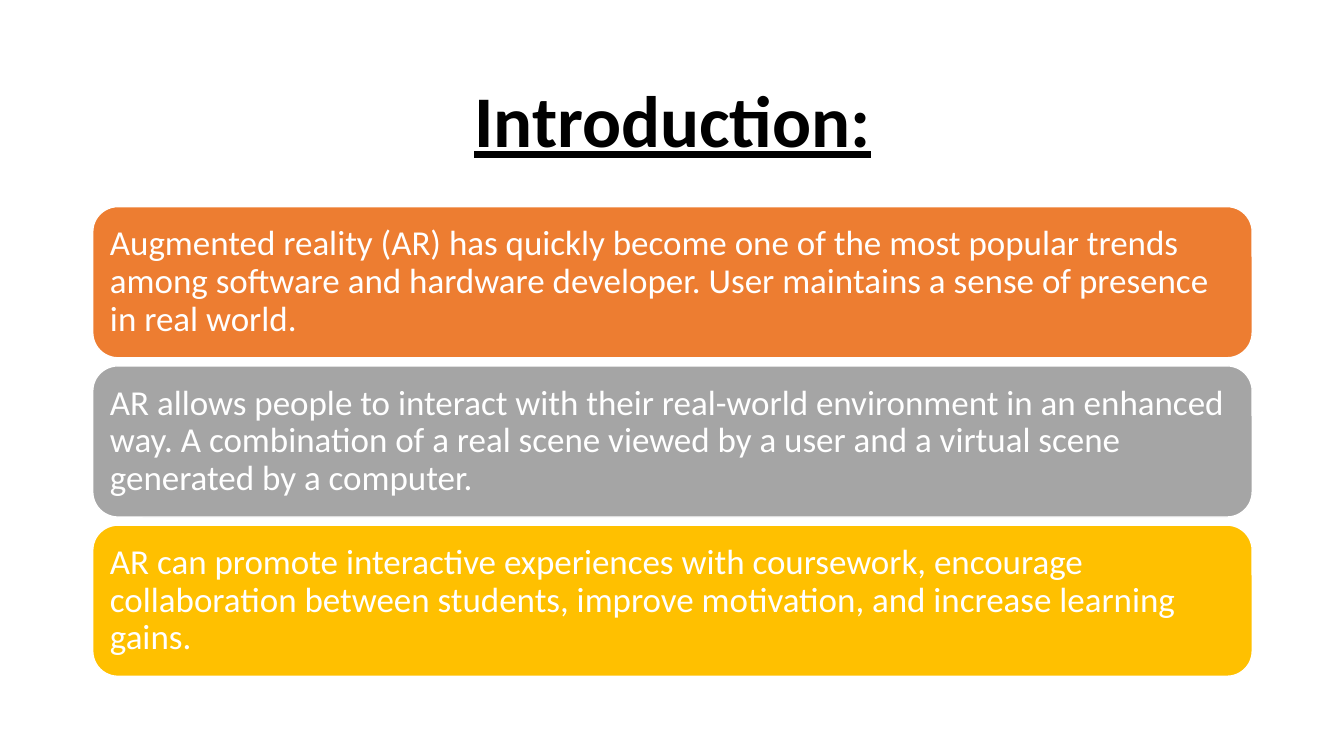
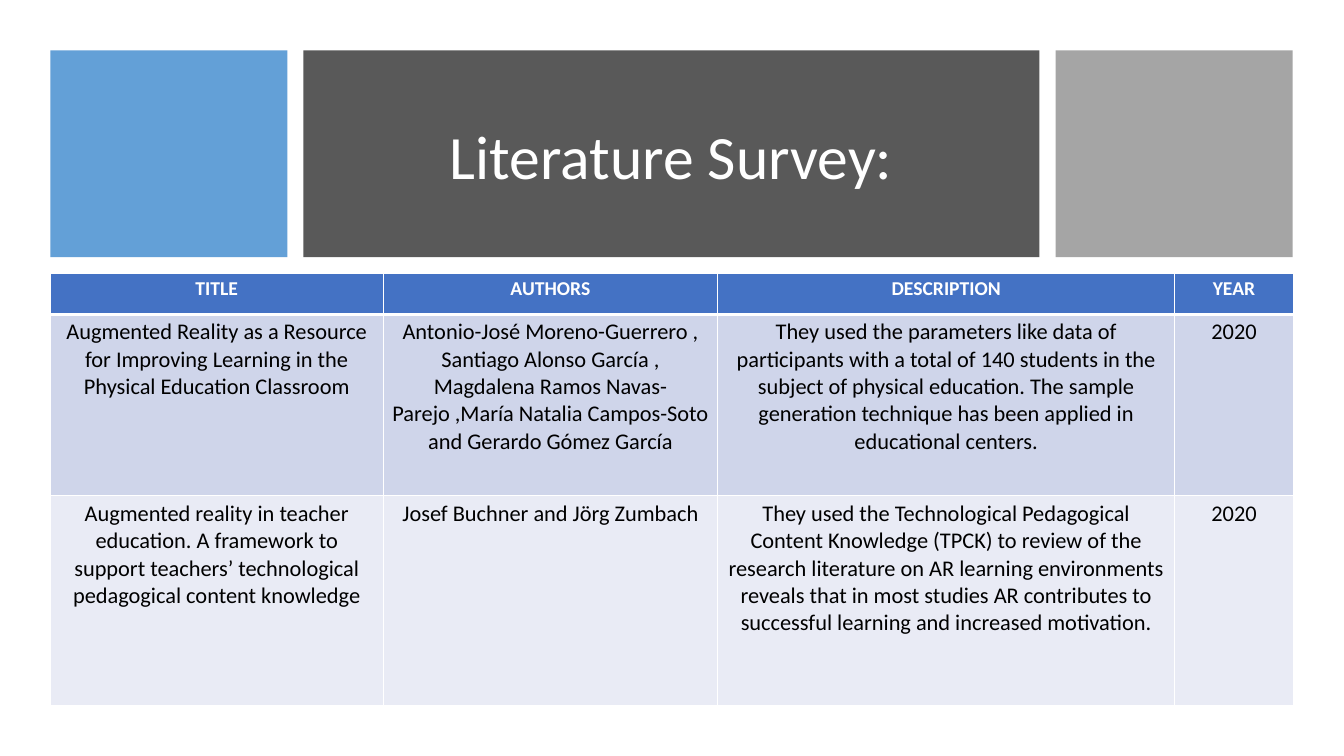
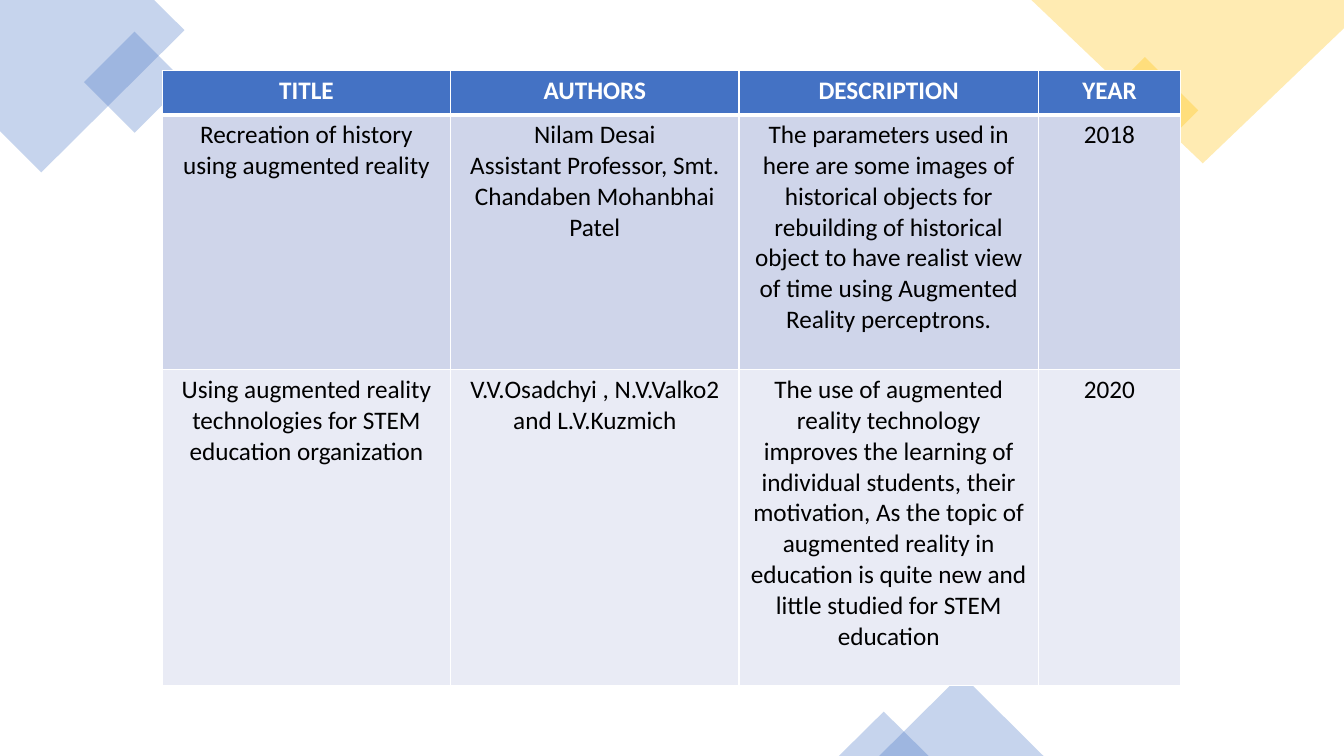
from lxml import etree
from pptx import Presentation
from pptx.dml.color import RGBColor
from pptx.enum.shapes import MSO_SHAPE
from pptx.enum.text import MSO_ANCHOR, MSO_AUTO_SIZE, PP_ALIGN
from pptx.oxml.ns import qn
from pptx.util import Inches, Pt

RECTANGLE = MSO_SHAPE.RECTANGLE
ROUNDED = MSO_SHAPE.ROUNDED_RECTANGLE
TRIANGLE = MSO_SHAPE.ISOSCELES_TRIANGLE
LEFT, CENTER = PP_ALIGN.LEFT, PP_ALIGN.CENTER
MIDDLE = MSO_ANCHOR.MIDDLE
NO_AUTOFIT = MSO_AUTO_SIZE.NONE

TITLE_ONLY, BLANK = 5, 6
FONT = "Calibri"
COLORS = {
    "white": "FFFFFF", "black": "000000", "orange": "ED7D31", "gray": "A5A5A5",
    "gold": "FFC000", "sky": "5B9BD5", "charcoal": "595959", "blue": "4472C4",
    "band_dark": "CFD5EA", "band_light": "E9EBF5",
}
TABLE_HEADINGS = ["TITLE", "AUTHORS", "DESCRIPTION", "YEAR"]


def rgb(name):
    return RGBColor.from_string(COLORS[name])


class Deck:
    """Holds the shared style and the slide being drawn."""

    def __init__(self):
        self.presentation = Presentation()
        self.presentation.slide_width = Inches(13.33)
        self.presentation.slide_height = Inches(7.5)
        self.slide = None

    def new_slide(self, layout):
        layouts = self.presentation.slide_layouts
        self.slide = self.presentation.slides.add_slide(layouts[layout])

    def add_text(self, paragraph, text, size, color, align, bold=False, underline=False):
        paragraph.alignment = align
        run = paragraph.add_run()
        run.text = text
        font = run.font
        font.name, font.size = FONT, Pt(size)
        font.bold, font.underline = bold, underline
        font.color.rgb = rgb(color)

    def title(self, text, box, size, color, bold=False, underline=False):
        """Fill the title placeholder and bring it in front of the shapes drawn so far."""
        title = self.slide.shapes.title
        title.left, title.top, title.width, title.height = map(Inches, box)
        frame = title.text_frame
        frame.word_wrap, frame.auto_size = True, NO_AUTOFIT
        frame.vertical_anchor = MIDDLE
        paragraph = frame.paragraphs[0]
        paragraph.line_spacing = 0.9
        self.add_text(paragraph, text, size, color, CENTER, bold, underline)
        self.slide.shapes.element.append(title.element)

    def paint(self, shape, color, opacity=100):
        shape.shadow.inherit = False
        shape.fill.solid()
        shape.fill.fore_color.rgb = rgb(color)
        shape.line.fill.background()
        if opacity < 100:
            fill_color = shape.element.spPr.find(".//" + qn("a:srgbClr"))
            etree.SubElement(fill_color, qn("a:alpha"), val=str(opacity * 1000))

    def shape(self, kind, box, color, opacity=100, rotation=0):
        shape = self.slide.shapes.add_shape(kind, *map(Inches, box))
        shape.rotation = rotation
        self.paint(shape, color, opacity)
        return shape

    def polygon(self, points, color, opacity):
        corners = [(Inches(x), Inches(y)) for x, y in points]
        builder = self.slide.shapes.build_freeform(*corners[0])
        builder.add_line_segments(corners[1:], close=True)
        self.paint(builder.convert_to_shape(), color, opacity)

    def card(self, box, color, text):
        card = self.shape(ROUNDED, box, color)
        card.line.color.rgb = rgb("white")
        card.line.width = Pt(1)
        frame = card.text_frame
        frame.word_wrap, frame.vertical_anchor = True, MIDDLE
        frame.margin_left = frame.margin_right = Inches(0.1)
        frame.margin_top = frame.margin_bottom = Inches(0.1)
        paragraph = frame.paragraphs[0]
        paragraph.line_spacing = 0.9
        self.add_text(paragraph, text, 25, "white", LEFT)

    def cell_borders(self, cell, top, bottom):
        properties = cell._tc.get_or_add_tcPr()
        for side, width in (("L", 1), ("R", 1), ("T", top), ("B", bottom)):
            line = etree.SubElement(properties, qn("a:ln" + side), w=str(Pt(width)))
            fill = etree.SubElement(line, qn("a:solidFill"))
            etree.SubElement(fill, qn("a:srgbClr"), val=COLORS["white"])

    def survey_table(self, box, widths, heights, entries, heading_size, body_size, margin):
        """Draw a heading row and banded entries; margin is the side inset, twice the upper one."""
        rows = [TABLE_HEADINGS] + entries
        table = self.slide.shapes.add_table(
            len(rows), len(widths), *map(Inches, box)).table
        for column, width in zip(table.columns, widths):
            column.width = Inches(width)
        for row, height in zip(table.rows, heights):
            row.height = Inches(height)
        for i, row in enumerate(rows):
            heading = i == 0
            fill = "blue" if heading else ("band_light", "band_dark")[i % 2]
            size = heading_size if heading else body_size
            color = "white" if heading else "black"
            for j, text in enumerate(row):
                cell = table.cell(i, j)
                cell.margin_left = cell.margin_right = Inches(margin)
                cell.margin_top = cell.margin_bottom = Inches(margin / 2)
                self.cell_borders(cell, 3 if i == 1 else 1, 3 if heading else 1)
                cell.fill.solid()
                cell.fill.fore_color.rgb = rgb(fill)
                frame = cell.text_frame
                for k, line in enumerate(text.split("\n")):
                    paragraph = frame.add_paragraph() if k else frame.paragraphs[0]
                    self.add_text(paragraph, line, size, color, CENTER, heading)


def introduction(deck):
    deck.new_slide(TITLE_ONLY)
    deck.title("Introduction:", (0.92, 0.61, 11.5, 1.24), 52, "black",
               bold=True, underline=True)
    cards = [
        ("orange", "Augmented reality (AR) has quickly become one of the most popular trends "
         "among software and hardware developer. User maintains a sense of presence "
         "in real world."),
        ("gray", "AR allows people to interact with their real-world environment in an "
         "enhanced way. A combination of a real scene viewed by a user and a virtual "
         "scene generated by a computer."),
        ("gold", "AR can promote interactive experiences with coursework, encourage "
         "collaboration between students, improve motivation, and increase learning "
         "gains."),
    ]
    for i, (color, text) in enumerate(cards):
        deck.card((0.92, 2.05 + 1.58 * i, 11.5, 1.5), color, text)


def literature_survey(deck):
    deck.new_slide(TITLE_ONLY)
    top, height = 0.5, 2.05
    deck.shape(RECTANGLE, (0.5, top, 2.35, height), "sky", opacity=95)
    deck.shape(RECTANGLE, (3.01, top, 7.3, height), "charcoal")
    deck.shape(RECTANGLE, (10.47, top, 2.35, height), "gray")
    deck.title("Literature Survey:", (3.33, 0.8, 6.66, 1.56), 44, "white")
    entries = [
        ["Augmented Reality as a Resource for Improving Learning in the Physical "
         "Education Classroom",
         "Antonio-José Moreno-Guerrero , Santiago Alonso García , Magdalena Ramos "
         "Navas-Parejo ,María Natalia Campos-Soto and Gerardo Gómez García",
         "They used the parameters like data of participants with a total of 140 "
         "students in the subject of physical education. The sample generation "
         "technique has been applied in educational centers.",
         "2020"],
        ["Augmented reality in teacher education. A framework to support teachers’ "
         "technological pedagogical content knowledge",
         "Josef Buchner and Jörg Zumbach",
         "They used the Technological Pedagogical Content Knowledge (TPCK) to review "
         "of the research literature on AR learning environments reveals that in most "
         "studies AR contributes to successful learning and increased motivation.",
         "2020"],
    ]
    deck.survey_table((0.5, 2.71, 12.33, 4.28), [3.3, 3.32, 4.53, 1.18],
                      [0.41, 1.8, 2.08], entries, 14, 16, margin=0.08)


def survey_continued(deck):
    deck.new_slide(BLANK)
    opacity = 30
    deck.polygon([(1.53, 0), (0, 0), (0, 1.3), (0.41, 1.71), (1.83, 0.3)],
                 "blue", opacity)
    deck.shape(RECTANGLE, (0.98, 0.46, 0.71, 0.71), "blue", opacity, rotation=315)
    deck.shape(RECTANGLE, (10.98, 0.72, 0.75, 0.75), "gold", opacity, rotation=315)
    deck.polygon([(13.33, 0), (10.23, 0), (11.93, 1.62), (13.33, 0.28)],
                 "gold", opacity)
    deck.shape(TRIANGLE, (8.72, 6.69, 1.63, 0.81), "blue", opacity)
    deck.shape(TRIANGLE, (8.32, 7.06, 0.89, 0.44), "blue", opacity)
    entries = [
        ["Recreation of history using augmented reality",
         "Nilam Desai\nAssistant Professor, Smt. Chandaben Mohanbhai Patel",
         "The parameters used in here are some images of historical objects for "
         "rebuilding of historical object to have realist view of time using "
         "Augmented Reality perceptrons.",
         "2018"],
        ["Using augmented reality technologies for STEM education organization",
         "V.V.Osadchyi , N.V.Valko2 and L.V.Kuzmich",
         "The use of augmented reality technology\n"
         "improves the learning of individual students, their motivation, As the topic "
         "of augmented reality in education is quite new and\n"
         "little studied for STEM education",
         "2020"],
    ]
    deck.survey_table((1.61, 0.7, 10.1, 6.09), [2.86, 2.86, 2.97, 1.41],
                      [0.44, 2.53, 3.13], entries, 18, 18, margin=0.1)


def main():
    deck = Deck()
    introduction(deck)
    literature_survey(deck)
    survey_continued(deck)
    deck.presentation.save("out.pptx")


if __name__ == "__main__":
    main()
